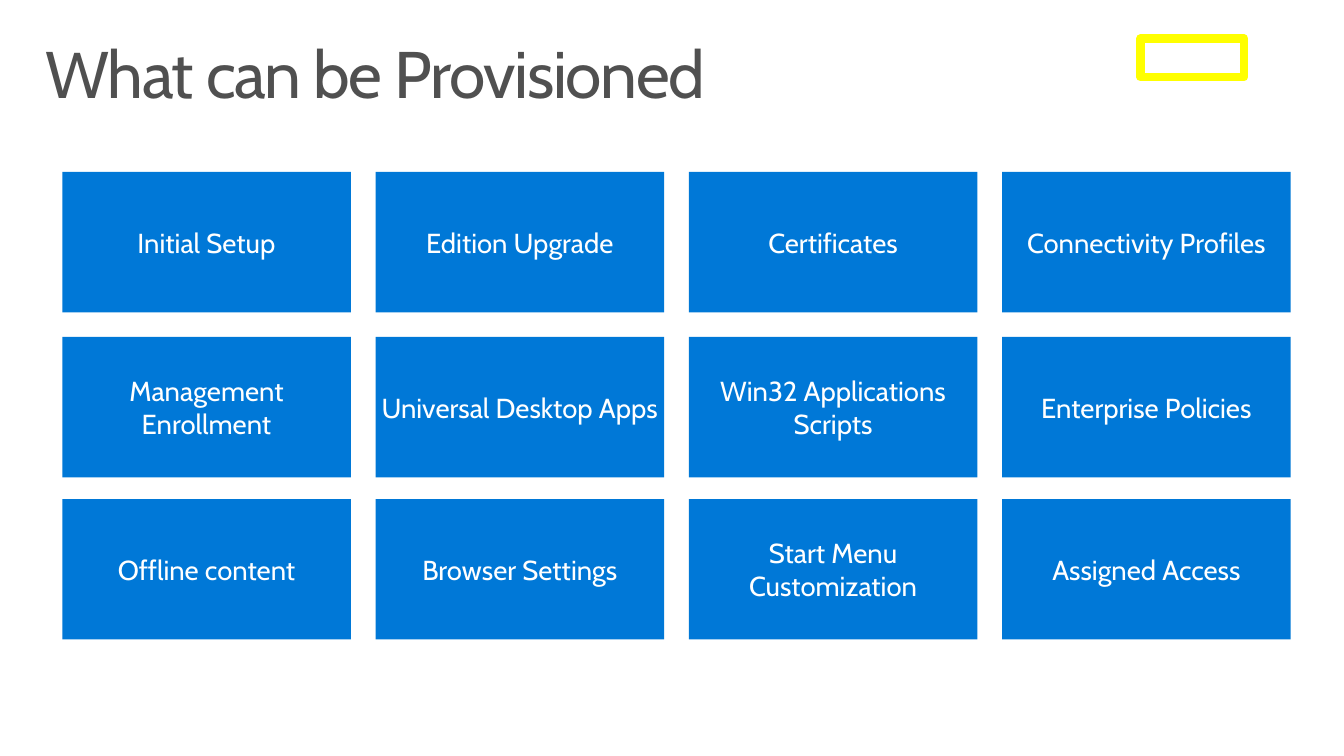
"""Build the slide that lists what can be provisioned."""
from pptx import Presentation
from pptx.dml.color import RGBColor
from pptx.enum.shapes import MSO_SHAPE
from pptx.enum.text import MSO_ANCHOR, PP_ALIGN
from pptx.util import Pt

PX = 9144
FONT = "Cabin"
BLUE = RGBColor(0x00, 0x78, 0xD7)
GREY = RGBColor(0x50, 0x50, 0x50)
WHITE = RGBColor(0xFF, 0xFF, 0xFF)
YELLOW = RGBColor(0xFF, 0xFF, 0x00)

TILE_WIDTH, TILE_HEIGHT = 292, 142
FIRST_LEFT, COLUMN_STEP = 63, 317
TILE_ROWS = [
    (174, ["Initial Setup", "Edition Upgrade", "Certificates", "Connectivity Profiles"]),
    (341, ["Management Enrollment", "Universal Desktop Apps",
           "Win32 Applications\nScripts", "Enterprise Policies"]),
    (505, ["Offline content", "Browser Settings", "Start Menu Customization",
           "Assigned Access"]),
]


def add_rectangle(left, top, width, height):
    shape = slide.shapes.add_shape(
        MSO_SHAPE.RECTANGLE, left * PX, top * PX, width * PX, height * PX)
    shape.shadow.inherit = False
    return shape


def style_text(paragraph, size, color):
    for run in paragraph.runs:
        run.font.name = FONT
        run.font.size = Pt(size)
        run.font.color.rgb = color


presentation = Presentation()
presentation.slide_width = 1360 * PX
presentation.slide_height = 765 * PX
slide = presentation.slides.add_slide(presentation.slide_layouts[6])

title = slide.shapes.add_textbox(30 * PX, 32 * PX, 1300 * PX, 100 * PX)
title_frame = title.text_frame
title_frame.word_wrap = True
title_frame.margin_left = title_frame.margin_right = 16 * PX
title_frame.margin_top = title_frame.margin_bottom = 10 * PX
title_frame.text = "What can be Provisioned"
title_paragraph = title_frame.paragraphs[0]
title_paragraph.line_spacing = 0.9
style_text(title_paragraph, 48, GREY)
title_paragraph.runs[0]._r.get_or_add_rPr().set("spc", "-100")

for top, labels in TILE_ROWS:
    for column, label in enumerate(labels):
        tile = add_rectangle(FIRST_LEFT + column * COLUMN_STEP, top, TILE_WIDTH, TILE_HEIGHT)
        tile.fill.solid()
        tile.fill.fore_color.rgb = BLUE
        tile.line.fill.background()
        tile_frame = tile.text_frame
        tile_frame.word_wrap = True
        tile_frame.vertical_anchor = MSO_ANCHOR.MIDDLE
        tile_frame.margin_left = tile_frame.margin_right = 0
        tile_frame.margin_top = tile_frame.margin_bottom = 5 * PX
        tile_frame.text = label
        for paragraph in tile_frame.paragraphs:
            paragraph.alignment = PP_ALIGN.CENTER
            style_text(paragraph, 20, WHITE)

highlight = add_rectangle(1154, 39, 105, 39)
highlight.fill.background()
highlight.line.color.rgb = YELLOW
highlight.line.width = Pt(6)

presentation.save("out.pptx")
